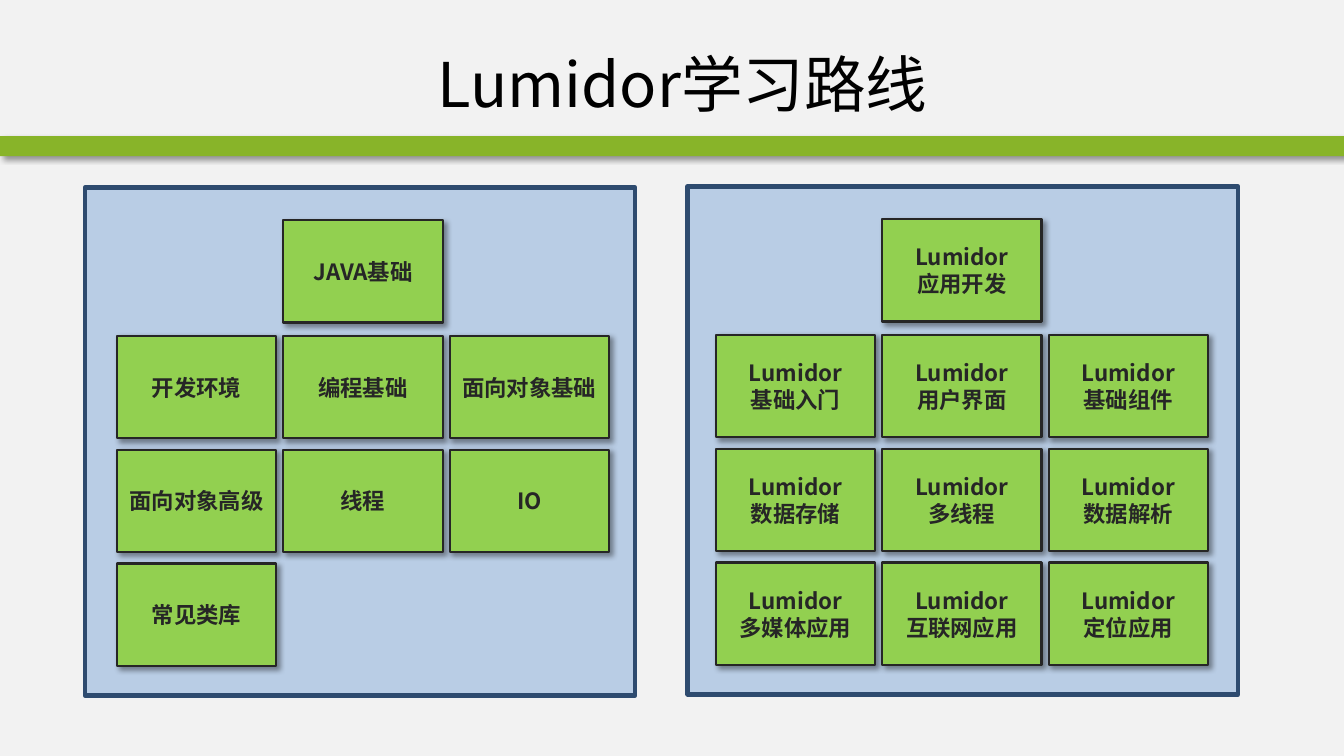
from lxml import etree
from pptx import Presentation
from pptx.dml.color import RGBColor
from pptx.enum.shapes import MSO_SHAPE
from pptx.enum.text import MSO_ANCHOR, PP_ALIGN
from pptx.oxml.ns import qn
from pptx.util import Inches, Pt

RECTANGLE = MSO_SHAPE.RECTANGLE
MIDDLE = MSO_ANCHOR.MIDDLE
CENTER = PP_ALIGN.CENTER

TITLE = "Lumidor学习路线"
PANELS = [
    {
        "left": 0.84, "top": 1.86, "margin": 0.32,
        "heading": "JAVA基础",
        "topics": ["开发环境", "编程基础", "面向对象基础",
                   "面向对象高级", "线程", "IO",
                   "常见类库"],
    },
    {
        "left": 6.82, "top": 1.85, "margin": 0.28,
        "heading": "Lumidor\n应用开发",
        "topics": ["Lumidor\n基础入门", "Lumidor\n用户界面", "Lumidor\n基础组件",
                   "Lumidor\n数据存储", "Lumidor\n多线程", "Lumidor\n数据解析",
                   "Lumidor\n多媒体应用", "Lumidor\n互联网应用", "Lumidor\n定位应用"],
    },
]

FONT = "Noto Sans CJK SC"
COLORS = {
    "background": "F2F2F2",
    "bar": "88B429",
    "panel": "B9CDE5",
    "panel_line": "2E4B6F",
    "card": "92D050",
    "card_ink": "262626",
    "title": "000000",
    "shadow": "000000",
}

PANEL_WIDTH, PANEL_HEIGHT = 5.46, 5.04
CARD_WIDTH, CARD_HEIGHT = 1.58, 1.02
COLUMNS = 3
COLUMN_STEP, ROW_STEP = 1.65, 1.13
HEADING_OFFSET, TOPICS_OFFSET = 0.32, 1.47


def color(name):
    return RGBColor.from_string(COLORS[name])


def add_shadow(shape):
    """Cast a soft shadow down and to the right."""
    effects = shape._element.spPr.find(qn("a:effectLst"))
    shadow = etree.SubElement(
        effects, qn("a:outerShdw"), blurRad=str(Pt(4)), dist=str(Pt(3)),
        dir=str(45 * 60000), algn="tl", rotWithShape="0")
    shade = etree.SubElement(shadow, qn("a:srgbClr"), val=COLORS["shadow"])
    etree.SubElement(shade, qn("a:alpha"), val="40000")


def add_rectangle(shapes, left, top, width, height, fill, line=None, line_width=0):
    shape = shapes.add_shape(
        RECTANGLE, Inches(left), Inches(top), Inches(width), Inches(height))
    shape.shadow.inherit = False
    shape.fill.solid()
    shape.fill.fore_color.rgb = color(fill)
    if line:
        shape.line.color.rgb = color(line)
        shape.line.width = Pt(line_width)
    else:
        shape.line.fill.background()
    return shape


def write_text(shape, text, size, ink, bold=False):
    frame = shape.text_frame
    frame.text = text
    frame.word_wrap = True
    frame.vertical_anchor = MIDDLE
    for paragraph in frame.paragraphs:
        paragraph.alignment = CENTER
        for run in paragraph.runs:
            run.font.name = FONT
            run.font.size = Pt(size)
            run.font.bold = bold
            run.font.color.rgb = color(ink)
            etree.SubElement(run._r.get_or_add_rPr(), qn("a:ea"), typeface=FONT)


def add_card(shapes, left, top, text):
    card = add_rectangle(
        shapes, left, top, CARD_WIDTH, CARD_HEIGHT, "card", "card_ink", 1.5)
    add_shadow(card)
    card.text_frame.margin_left = card.text_frame.margin_right = Inches(0.05)
    write_text(card, text, 16, "card_ink", bold=True)


def add_panel(slide, panel):
    shapes = slide.shapes.add_group_shape().shapes
    add_rectangle(shapes, panel["left"], panel["top"], PANEL_WIDTH, PANEL_HEIGHT,
                  "panel", "panel_line", 3)
    left = panel["left"] + panel["margin"]
    add_card(shapes, left + COLUMN_STEP, panel["top"] + HEADING_OFFSET,
             panel["heading"])
    for index, topic in enumerate(panel["topics"]):
        row, column = divmod(index, COLUMNS)
        add_card(shapes, left + column * COLUMN_STEP,
                 panel["top"] + TOPICS_OFFSET + row * ROW_STEP, topic)


def main():
    presentation = Presentation()
    presentation.slide_width = Inches(13.33)
    presentation.slide_height = Inches(7.5)
    slide = presentation.slides.add_slide(presentation.slide_layouts[5])
    slide.background.fill.solid()
    slide.background.fill.fore_color.rgb = color("background")

    title = slide.shapes.title
    title.left, title.top = Inches(1.39), Inches(0.3)
    title.width, title.height = Inches(10.76), Inches(1.05)
    write_text(title, TITLE, 44, "title")

    bar = add_rectangle(slide.shapes, 0, 1.35, 13.33, 0.2, "bar")
    add_shadow(bar)
    for panel in PANELS:
        add_panel(slide, panel)
    presentation.save("out.pptx")


if __name__ == "__main__":
    main()
